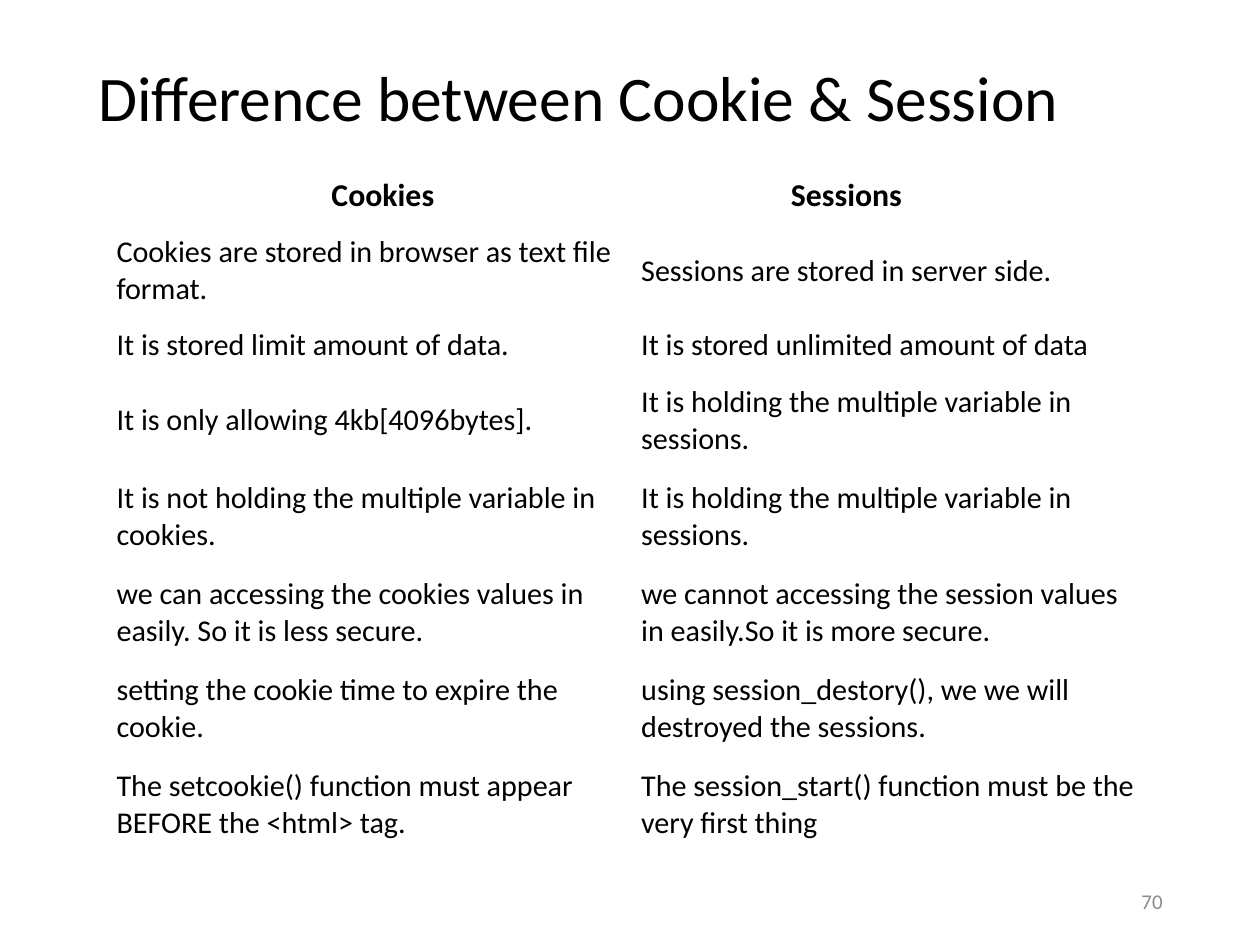
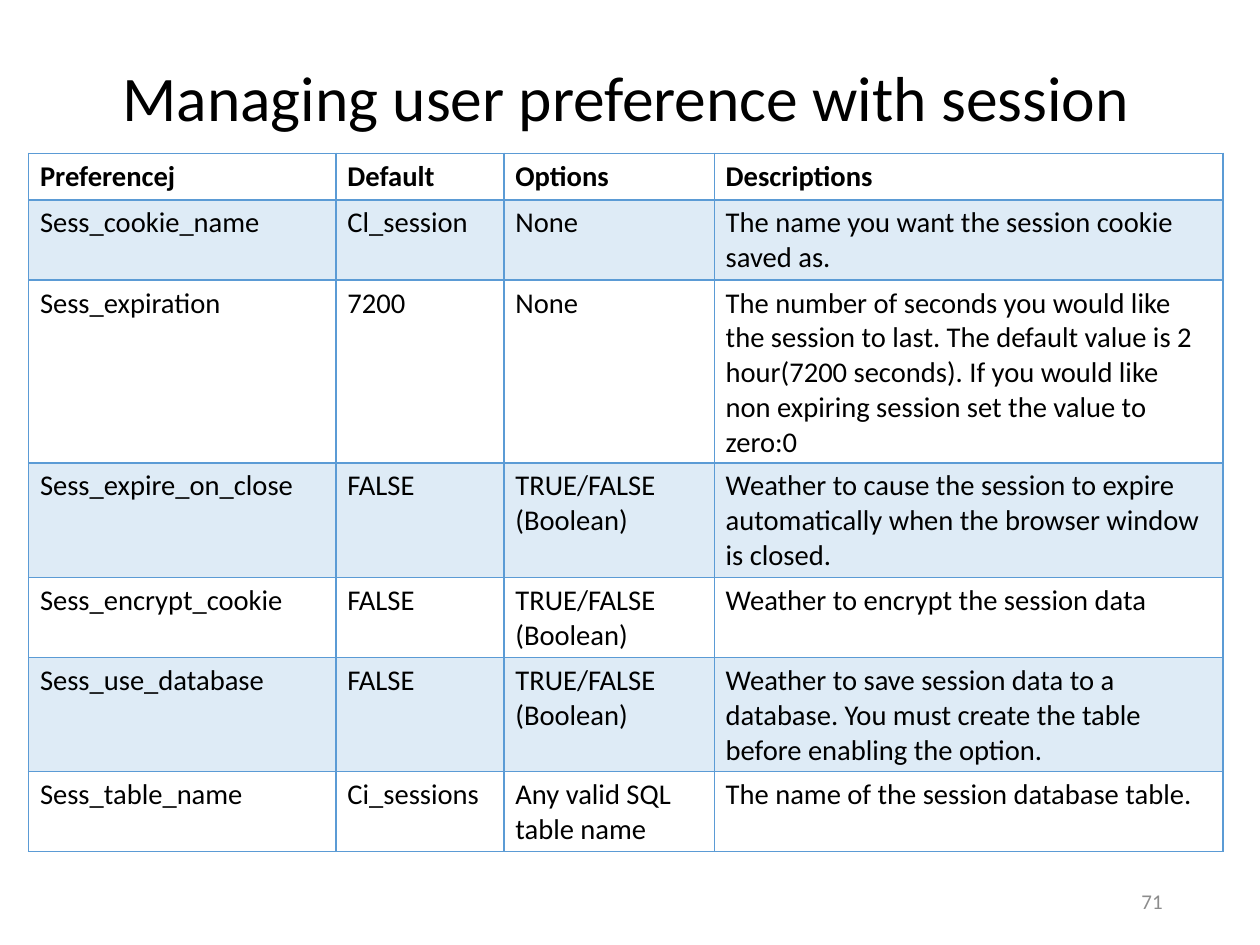
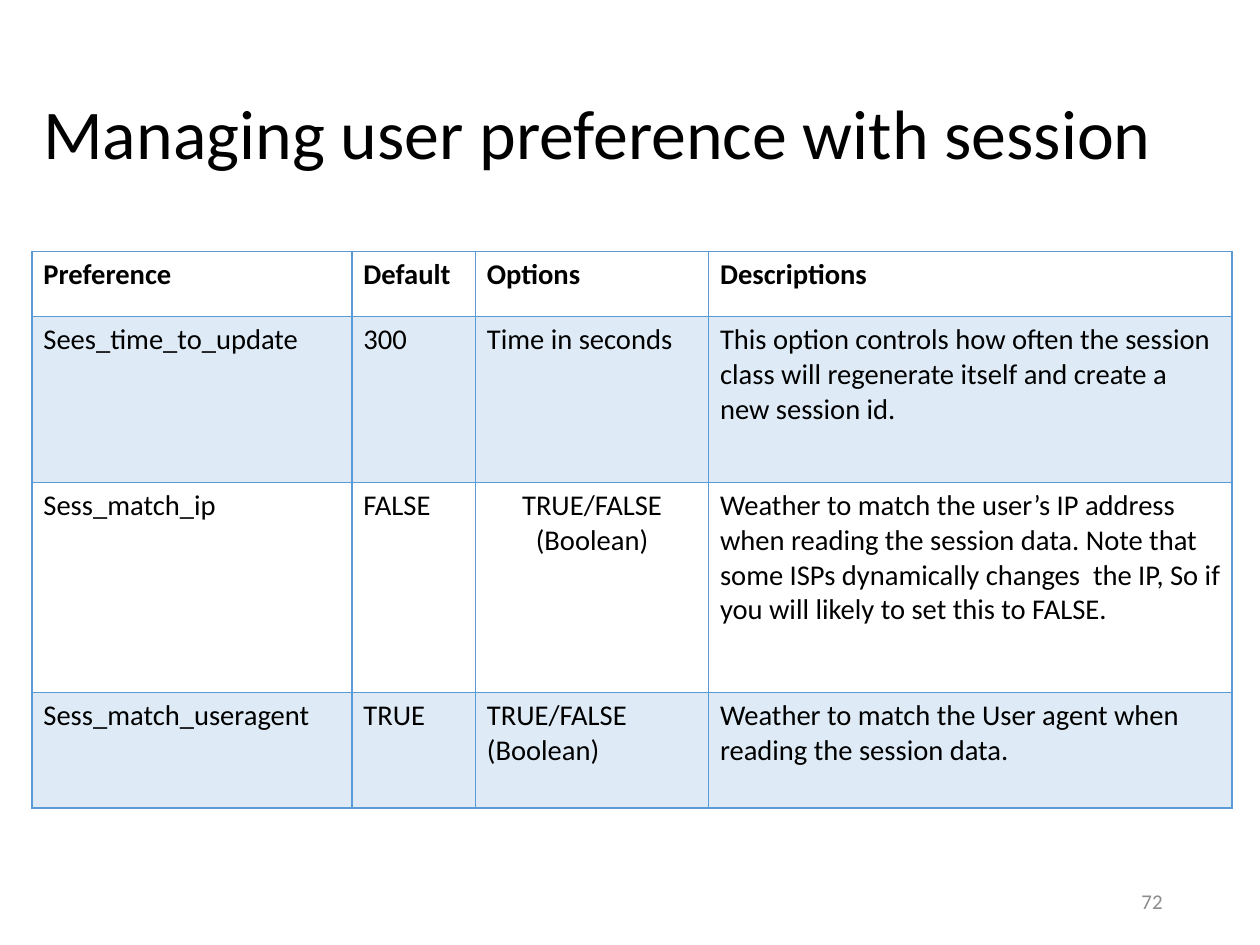
from lxml import etree
from pptx import Presentation
from pptx.dml.color import RGBColor
from pptx.enum.text import MSO_ANCHOR as Anchor, PP_ALIGN as Align
from pptx.oxml.ns import qn
from pptx.util import Inches, Pt

# A 28 by 21 centimetre page
PAGE_WIDTH, PAGE_HEIGHT = Inches(28 / 2.54), Inches(21 / 2.54)
COLORS = {"text": "000000", "accent": "5B9BD5", "number": "8C8C8C"}
FONT = "Calibri"
PLAIN_TABLE_STYLE = "{2D5ABB26-0587-4C30-8999-92F81FD0307C}"
BAND_OPACITY = 20
BOOLEAN = "TRUE/FALSE\n(Boolean)"

COOKIE_ROWS = [
    ("Cookies", "Sessions"),
    ("Cookies are stored in browser as text file format.",
     "Sessions are stored in server side."),
    ("It is stored limit amount of data.",
     "It is stored unlimited amount of data"),
    ("It is only allowing 4kb[4096bytes].",
     "It is holding the multiple variable in sessions."),
    ("It is not holding the multiple variable in cookies.",
     "It is holding the multiple variable in sessions."),
    ("we can accessing the cookies values in easily. So it is less secure.",
     "we cannot accessing the session values in easily.So it is more secure."),
    ("setting the cookie time to expire the cookie.",
     "using session_destory(), we we will destroyed the sessions."),
    ("The setcookie() function must appear BEFORE the <html> tag.",
     "The session_start() function must be the very first thing"),
]
PREFERENCE_ROWS = [
    ("Preferencej", "Default", "Options", "Descriptions"),
    ("Sess_cookie_name", "Cl_session", "None",
     "The name you want the session cookie saved as."),
    ("Sess_expiration", "7200", "None",
     "The number of seconds you would like the session to last. The default "
     "value is 2 hour(7200 seconds). If you would like  non expiring session "
     "set the value to zero:0"),
    ("Sess_expire_on_close", "FALSE", BOOLEAN,
     "Weather to cause the session to expire automatically when the browser "
     "window is closed."),
    ("Sess_encrypt_cookie", "FALSE", BOOLEAN,
     "Weather to encrypt the session data"),
    ("Sess_use_database", "FALSE", BOOLEAN,
     "Weather to save session data to a database. You must create the table "
     "before enabling the option."),
    ("Sess_table_name", "Ci_sessions", "Any valid SQL table name",
     "The name of the session database table."),
]
MORE_PREFERENCE_ROWS = [
    ("Preference", "Default", "Options", "Descriptions"),
    ("Sees_time_to_update", "300", "Time in seconds",
     "This option controls how often the session class will regenerate itself "
     "and create a new session id."),
    ("Sess_match_ip", "FALSE", BOOLEAN,
     "Weather to match the user’s IP address when reading the session data. "
     "Note that some ISPs dynamically changes  the IP, So if you will likely "
     "to set this to FALSE."),
    ("Sess_match_useragent", "TRUE", BOOLEAN,
     "Weather to match the User agent when reading the session data."),
]


def write(text_frame, text, size, color="text", bold=False, align=Align.LEFT):
    text_frame.text = text
    for paragraph in text_frame.paragraphs:
        paragraph.alignment = align
        for run in paragraph.runs:
            run.font.name = FONT
            run.font.size = Pt(size)
            run.font.bold = bold
            run.font.color.rgb = RGBColor.from_string(COLORS[color])


def add_text(slide, box, text, size, **style):
    shape = slide.shapes.add_textbox(*map(Inches, box))
    shape.text_frame.word_wrap = True
    shape.text_frame.vertical_anchor = Anchor.MIDDLE
    write(shape.text_frame, text, size, **style)
    return shape


def add_title_slide(presentation, title, box, number, size=40, align=Align.LEFT):
    """Blank slide with its title and page number."""
    slide = presentation.slides.add_slide(presentation.slide_layouts[6])
    shape = add_text(slide, box, title, size, align=align)
    shape.text_frame.paragraphs[0].line_spacing = 0.9
    add_text(slide, (7.79, 7.66, 2.48, 0.44), str(number), 13.2,
             color="number", align=Align.RIGHT)
    return slide


def add_table(slide, box, widths, heights, rows, size, header_size):
    """Unstyled table with a bold first row; rows grow to fit their text."""
    frame = slide.shapes.add_table(len(rows), len(widths), *map(Inches, box))
    table = frame.table
    table.horz_banding = False
    table._tbl.tblPr.find(qn("a:tableStyleId")).text = PLAIN_TABLE_STYLE
    for column, width in zip(table.columns, widths):
        column.width = Inches(width)
    for index, (row, height, texts) in enumerate(zip(table.rows, heights, rows)):
        row.height = Inches(height)
        header = index == 0
        for cell, text in zip(row.cells, texts):
            write(cell.text_frame, text, header_size if header else size,
                  bold=header)
            cell.fill.background()
    # Setting row heights resizes the frame, so its height comes last
    frame.height = Inches(box[3])
    return table


def set_borders(cell):
    properties = cell._tc.get_or_add_tcPr()
    for position, tag in enumerate(("a:lnL", "a:lnR", "a:lnT", "a:lnB")):
        line = etree.Element(qn(tag), w=str(Pt(1)))
        fill = etree.SubElement(line, qn("a:solidFill"))
        etree.SubElement(fill, qn("a:srgbClr"), val=COLORS["accent"])
        properties.insert(position, line)


def set_band(cell):
    cell.fill.solid()
    cell.fill.fore_color.rgb = RGBColor.from_string(COLORS["accent"])
    color = cell._tc.tcPr.find(qn("a:solidFill")).find(qn("a:srgbClr"))
    etree.SubElement(color, qn("a:alpha"), val=str(BAND_OPACITY * 1000))


def add_comparison_table(slide, box, widths, heights, rows):
    table = add_table(slide, box, widths, heights, rows, 19, 20)
    for cell in table.iter_cells():
        cell.vertical_anchor = Anchor.MIDDLE
    # Headings are indented from the left edge of their columns
    for cell, indent in zip(table.rows[0].cells, (1.88, 1.31)):
        cell.margin_left = Inches(0.1 + indent)


def add_preference_table(slide, box, widths, heights, rows):
    table = add_table(slide, box, widths, heights, rows, 18, 18)
    for index, row in enumerate(table.rows):
        for cell in row.cells:
            set_borders(cell)
            if index % 2:
                set_band(cell)
    return table


def main():
    presentation = Presentation()
    presentation.slide_width = PAGE_WIDTH
    presentation.slide_height = PAGE_HEIGHT

    # Cookies against sessions
    slide = add_title_slide(presentation, "Difference between Cookie & Session",
                            (0.76, 0.44, 9.51, 0.89), 70)
    add_comparison_table(slide, (0.92, 1.48, 9.18, 5.96), (4.59, 4.59),
                         (0.47, 0.84, 0.47) + (0.84,) * 5, COOKIE_ROWS)

    # Session preferences
    preference_title = "Managing user preference with session"
    slide = add_title_slide(presentation, preference_title,
                            (0.25, 0.44, 10.45, 0.89), 71, align=Align.CENTER)
    add_preference_table(slide, (0.25, 1.34, 10.45, 6.65),
                         (2.69, 1.47, 1.84, 4.45),
                         (0.41,) * len(PREFERENCE_ROWS), PREFERENCE_ROWS)

    # Session preferences, continued
    slide = add_title_slide(presentation, preference_title,
                            (0.28, 0.44, 10.41, 1.52), 72, size=44)
    table = add_preference_table(slide, (0.28, 2.2, 10.49, 4.87),
                                 (2.8, 1.08, 2.04, 4.58),
                                 (0.57, 1.45, 1.84, 1.01), MORE_PREFERENCE_ROWS)
    for paragraph in table.cell(2, 2).text_frame.paragraphs:
        paragraph.alignment = Align.CENTER

    presentation.save("out.pptx")


if __name__ == "__main__":
    main()
